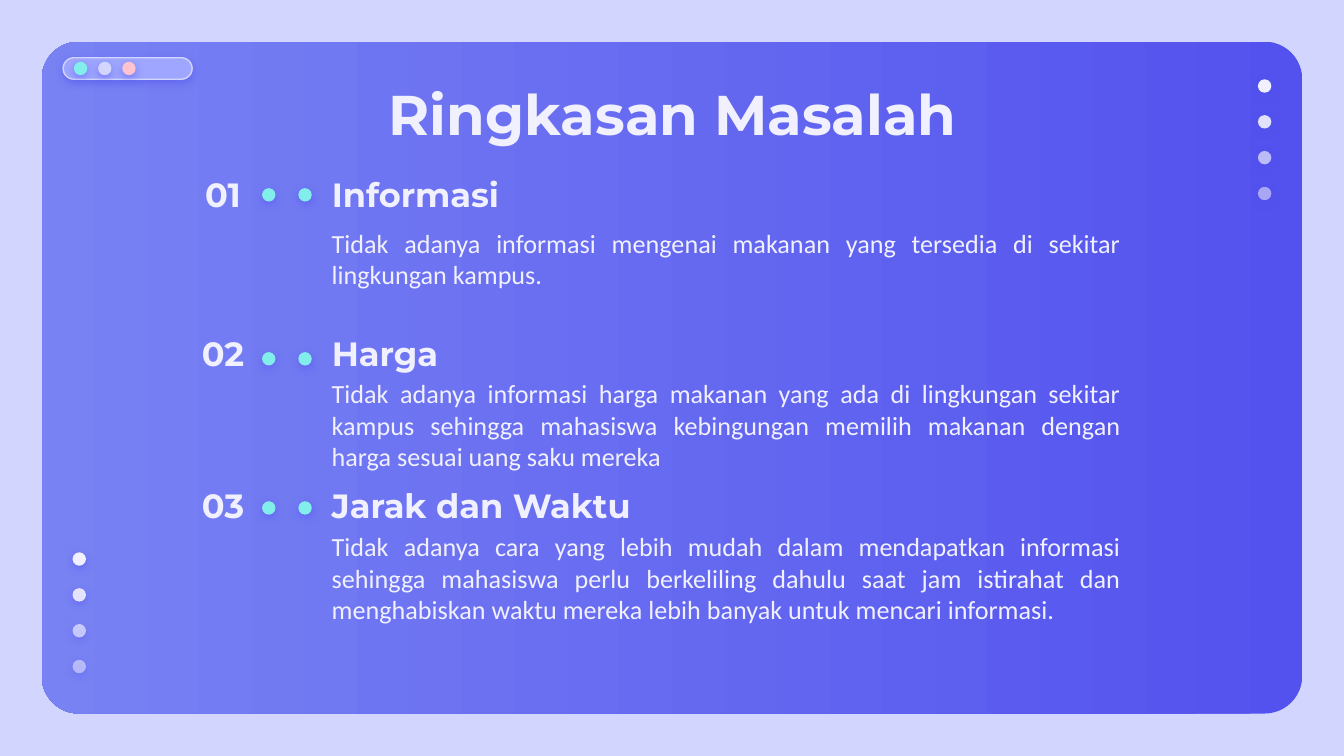
from lxml import etree
from pptx import Presentation
from pptx.dml.color import RGBColor
from pptx.enum import shapes, text
from pptx.oxml import ns
from pptx.util import Inches, Pt

INDIGO, LAVENDER, WHITE, AQUA = "5352EE", "D2D6FF", "F1F0FF", "81EEEB"
SHAPE, ALIGN, ANCHOR = shapes.MSO_SHAPE, text.PP_ALIGN, text.MSO_ANCHOR
color = RGBColor.from_string


def add_glowing(kind, left, top, width, height, fill, opacity=100):
    shape = slide.shapes.add_shape(kind, Inches(left), Inches(top), Inches(width), Inches(height))
    shape.shadow.inherit = False
    shape.fill.solid()
    shape.fill.fore_color.rgb = color(fill)
    shape.line.fill.background()
    properties = shape.element.spPr
    if opacity < 100:
        fill_color = properties.find(ns.qn("a:solidFill")).find(ns.qn("a:srgbClr"))
        etree.SubElement(fill_color, ns.qn("a:alpha"), val=str(opacity * 1000))
    shadow = etree.SubElement(properties.find(ns.qn("a:effectLst")), ns.qn("a:outerShdw"),
                              blurRad=str(Pt(4.5)), dist=str(Pt(1.5)), dir="5400000",
                              algn="bl", rotWithShape="0")
    shadow_color = etree.SubElement(shadow, ns.qn("a:srgbClr"), val=INDIGO)
    etree.SubElement(shadow_color, ns.qn("a:alpha"), val="50000")
    return shape


def write(shape, box, words, size, font, align, anchor=ANCHOR.MIDDLE):
    shape.left, shape.top, shape.width, shape.height = [Inches(value) for value in box]
    frame = shape.text_frame
    frame.word_wrap = True
    frame.auto_size = text.MSO_AUTO_SIZE.NONE
    frame.vertical_anchor = anchor
    frame.margin_left = frame.margin_right = frame.margin_top = frame.margin_bottom = Inches(0.1)
    paragraph = frame.paragraphs[0]
    paragraph.alignment = align
    run = paragraph.add_run()
    run.text = words
    run.font.size = Pt(size)
    run.font.name = font
    run.font.bold = font == "Montserrat"
    run.font.color.rgb = color(WHITE)


presentation = Presentation()
presentation.slide_width = Inches(10)
presentation.slide_height = Inches(10 * 9 / 16)
slide = presentation.slides.add_slide(presentation.slide_layouts[5])
slide.background.fill.solid()
slide.background.fill.fore_color.rgb = color(LAVENDER)

panel = slide.shapes.add_shape(SHAPE.ROUNDED_RECTANGLE, Inches(0.31), Inches(0.31), Inches(9.38), Inches(5))
panel.adjustments[0] = 0.28 / 5
panel.shadow.inherit = False
panel.line.fill.background()
panel.fill.gradient()
panel.fill.gradient_angle = 180
for stop, position, shade in zip(panel.fill.gradient_stops, (0, 1), (INDIGO, "7882F3")):
    stop.position = position
    stop.color.rgb = color(shade)

pill = add_glowing(SHAPE.ROUNDED_RECTANGLE, 0.47, 0.43, 0.96, 0.16, "9EA6FF")
pill.adjustments[0] = 0.5
pill.line.color.rgb = color(LAVENDER)
pill.line.width = Pt(0.75)
for index, shade in enumerate((AQUA, LAVENDER, "FFC3D0")):
    add_glowing(SHAPE.OVAL, 0.55 + index * 0.18, 0.46, 0.1, 0.1, shade)

for left, top in ((9.36, 0.59), (0.54, 4.11)):
    for index, opacity in enumerate((100, 90, 67, 54)):
        add_glowing(SHAPE.OVAL, left, top + index * 0.8 / 3, 0.1, 0.1, WHITE, opacity)

title = slide.shapes.title
title.element.getparent().append(title.element)
write(title, (0.79, 0.49, 8.43, 0.63), "Ringkasan Masalah", 30, "Montserrat", ALIGN.CENTER, ANCHOR.TOP)

problems = [
    ("Informasi", 2.52, 1.31, 1.4, 1.66, 0.53,
     "Tidak adanya informasi mengenai makanan yang tersedia di sekitar lingkungan kampus."),
    ("Harga", 2.52, 2.49, 2.62, 2.81, 0.7,
     "Tidak adanya informasi harga makanan yang ada di lingkungan sekitar kampus sehingga "
     "mahasiswa kebingungan memilih makanan dengan harga sesuai uang saku mereka"),
    ("Jarak dan Waktu", 6.07, 3.62, 3.73, 3.95, 0.7,
     "Tidak adanya cara yang lebih mudah dalam mendapatkan informasi sehingga mahasiswa perlu "
     "berkeliling dahulu saat jam istirahat dan menghabiskan waktu mereka lebih banyak untuk "
     "mencari informasi."),
]
for number, (heading, heading_width, heading_top, dot_top, body_top, body_height, body) in enumerate(problems, 1):
    for box, words, size, font, align in (
        ((1.18, heading_top, 0.96, 0.27), f"{number:02}", 18, "Montserrat", ALIGN.CENTER),
        ((2.37, heading_top, heading_width, 0.27), heading, 18, "Montserrat", ALIGN.LEFT),
        ((2.37, body_top, 6.07, body_height), body, 14, "Calibri", ALIGN.JUSTIFY),
    ):
        write(slide.shapes.add_textbox(0, 0, 0, 0), box, words, size, font, align)
    for dot_left in (1.95, 2.22):
        add_glowing(SHAPE.OVAL, dot_left, dot_top, 0.1, 0.1, AQUA)

presentation.save("out.pptx")
